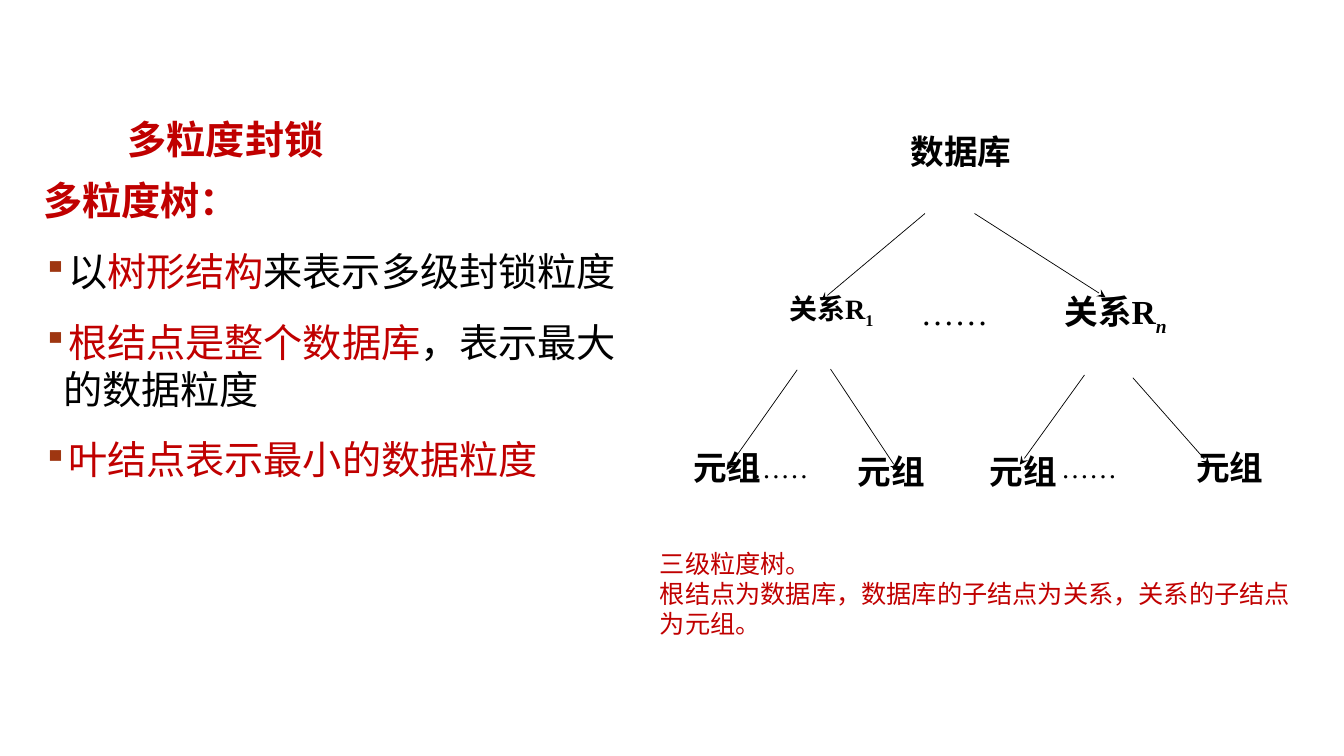
from typing import NamedTuple

from lxml import etree
from pptx import Presentation
from pptx.dml.color import RGBColor
from pptx.enum.shapes import MSO_CONNECTOR
from pptx.enum.text import MSO_ANCHOR, PP_ALIGN
from pptx.oxml.ns import qn
from pptx.util import Cm, Pt

RED = RGBColor(0xC0, 0x00, 0x00)
BLACK = RGBColor(0x00, 0x00, 0x00)
BULLET_BROWN = RGBColor(0x9E, 0x36, 0x11)

TITLE_FONT = "Roboto Condensed"
BODY_FONT = "Roboto Slab"
TREE_FONT = "Times New Roman"


class Box(NamedTuple):
    """Left, top, width and height in centimetres."""
    left: float
    top: float
    width: float
    height: float

    def inner(self, left, top, width, height):
        return Box(self.left + left, self.top + top, width, height)


def add_frame(slide, box, anchor=MSO_ANCHOR.TOP):
    frame = slide.shapes.add_textbox(*(Cm(length) for length in box)).text_frame
    frame.word_wrap = True
    frame.vertical_anchor = anchor
    return frame


def add_run(paragraph, text, font=BODY_FONT, size=28, color=BLACK,
            bold=False, italic=False, subscript=False):
    run = paragraph.add_run()
    run.text = text
    run.font.name = font
    run.font.size = Pt(size)
    run.font.color.rgb = color
    run.font.bold = bold
    run.font.italic = italic
    if subscript:
        run.font._element.set("baseline", "-25000")


def add_bullet(paragraph):
    properties = paragraph._p.get_or_add_pPr()
    properties.set("marL", str(Cm(0.5)))
    properties.set("indent", str(-Cm(0.5)))
    color = etree.SubElement(properties, qn("a:buClr"))
    etree.SubElement(color, qn("a:srgbClr"), val=str(BULLET_BROWN))
    etree.SubElement(properties, qn("a:buSzPct"), val="85000")
    etree.SubElement(properties, qn("a:buChar"), char="▪")


def add_arrow(slide, box, start, end):
    arrow = slide.shapes.add_connector(
        MSO_CONNECTOR.STRAIGHT,
        Cm(box.left + start[0]), Cm(box.top + start[1]),
        Cm(box.left + end[0]), Cm(box.top + end[1]))
    arrow.line.color.rgb = BLACK
    arrow.line.width = Pt(0.5)
    etree.SubElement(arrow.line._get_or_add_ln(), qn("a:tailEnd"), type="stealth")
    etree.SubElement(arrow._element.spPr, qn("a:effectLst"))


def add_label(slide, box, text, align=PP_ALIGN.CENTER, size=24, bold=True,
              index="", italic_index=False):
    """Place a tree label, with an optional subscript index."""
    paragraph = add_frame(slide, box).paragraphs[0]
    paragraph.alignment = align
    paragraph.line_spacing = 0.96
    add_run(paragraph, text, font=TREE_FONT, size=size, bold=bold)
    if index:
        add_run(paragraph, index, font=TREE_FONT, size=size, bold=bold,
                italic=italic_index, subscript=True)


def add_title(slide, box):
    paragraph = add_frame(slide, box, MSO_ANCHOR.MIDDLE).paragraphs[0]
    paragraph.line_spacing = 0.9
    add_run(paragraph, "多粒度封锁", font=TITLE_FONT, color=RED, bold=True)


def add_definition(slide, box):
    frame = add_frame(slide, box)
    heading = frame.paragraphs[0]
    heading.line_spacing = 0.8
    add_run(heading, "多粒度树：", color=RED, bold=True)

    points = [
        [("以", BLACK), ("树形结构", RED), ("来表示多级封锁粒度", BLACK)],
        [("根结点是整个数据库", RED), ("，表示最大的数据粒度", BLACK)],
        [("叶结点表示最小的数据粒度", RED)],
    ]
    for point in points:
        paragraph = frame.add_paragraph()
        add_bullet(paragraph)
        paragraph.space_before = Pt(17)
        for text, color in point:
            add_run(paragraph, text, color=color)


def add_granularity_tree(slide, box):
    arrows = [
        ((6.6, 2.13), (3.99, 4.32)),
        ((7.85, 2.13), (11.15, 4.24)),
        ((3.38, 6.07), (1.6, 8.59)),
        ((4.22, 6.05), (5.92, 8.61)),
        ((10.62, 6.2), (8.99, 8.46)),
        ((11.84, 6.27), (13.77, 8.46)),
    ]
    for start, end in arrows:
        add_arrow(slide, box, start, end)

    add_label(slide, box.inner(5.46, 0, 4.09, 2.41), "数据库")
    add_label(slide, box.inner(9.32, 3.96, 4.17, 2.16), "关系R",
              index="n", italic_index=True)
    add_label(slide, box.inner(1.85, 3.96, 4.78, 3.45), "关系R", size=20, index="1")

    for left, top, width in [(0, 7.95, 3.23), (12.24, 7.95, 4.09),
                             (4.14, 8.05, 3.23), (7.47, 8.05, 3.23)]:
        add_label(slide, box.inner(left, top, width, 2.24), "元组")

    for left, top, size in [(6.25, 4.06, 24), (9.78, 8.03, 20), (2.01, 8.03, 20)]:
        add_label(slide, box.inner(left, top, 4.17, 1.8), "……",
                  align=PP_ALIGN.JUSTIFY, size=size, bold=False)


def add_caption(slide, box):
    frame = add_frame(slide, box)
    add_run(frame.paragraphs[0], "三级粒度树。", size=18, color=RED)
    add_run(frame.add_paragraph(),
            "根结点为数据库，数据库的子结点为关系，关系的子结点为元组。",
            size=18, color=RED)


def main():
    presentation = Presentation()
    presentation.slide_width = Cm(33.87)
    presentation.slide_height = Cm(19.05)
    slide = presentation.slides.add_slide(presentation.slide_layouts[6])

    add_title(slide, Box(2.97, 1.35, 27.94, 4.47))
    add_definition(slide, Box(0.84, 4.55, 15.29, 11.25))
    add_granularity_tree(slide, Box(16.71, 3.25, 16.33, 10.5))
    add_caption(slide, Box(16.38, 13.69, 16.94, 2.57))

    presentation.save("out.pptx")


if __name__ == "__main__":
    main()
